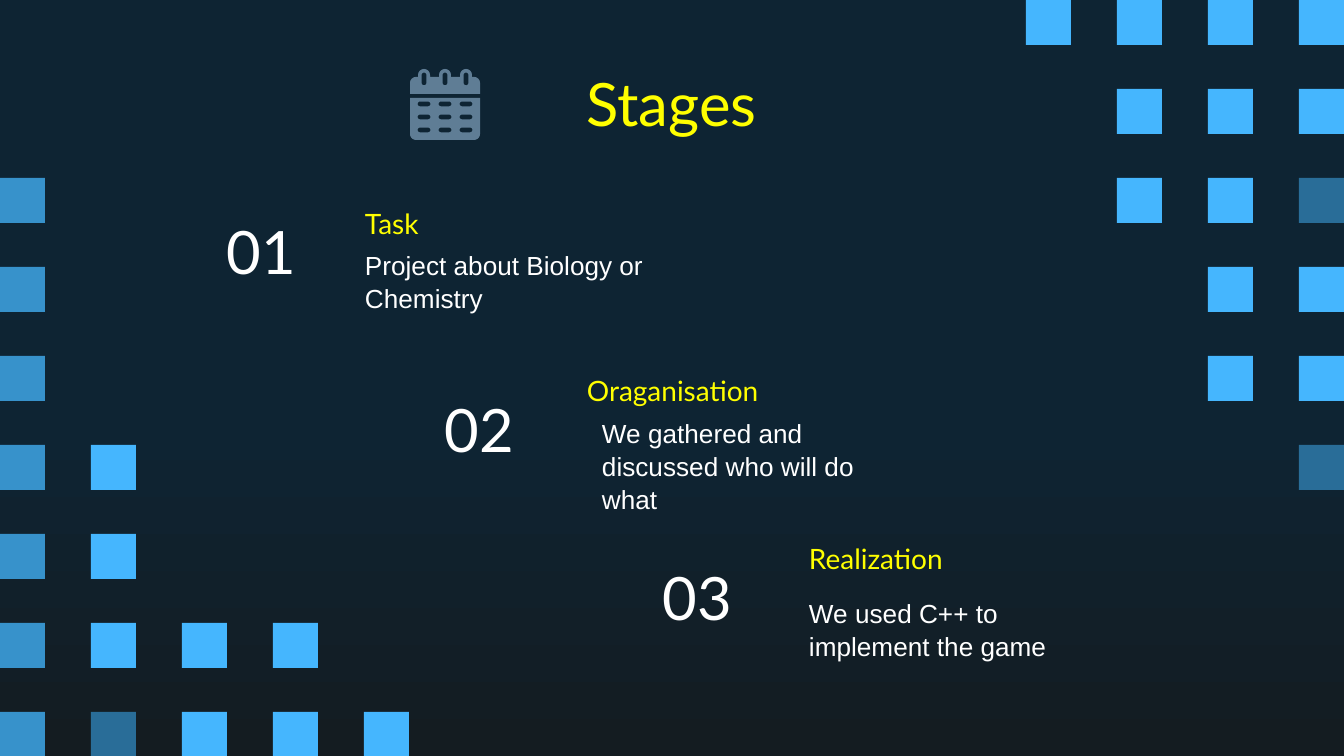
import math

from pptx import Presentation
from pptx import util as u
from pptx.dml.color import RGBColor
from pptx.enum import shapes, text

PX = 9144000 / 1344
PITCH_X, PITCH_Y, SQUARE = 91, 89, 45
BLUES = {"b": "45B6FE", "m": "3792CB", "d": "296D98"}
LEFT_SQUARES = ["m", "m", "m", "mb", "mb", "mbbb", "mdbbb"]
RIGHT_SQUARES = ["bbbb", ".bbb", ".bbd", "..bb", "..bb", "...d"]
YELLOW, WHITE, SLATE = "FFFF00", "FFFFFF", "5F7D95"
STAGES = [
    ("01", (44, 212), "Task", (352, 196, 308),
     "Project about Biology or Chemistry", (352, 248), True),
    ("02", (262, 390), "Oraganisation", (574, 363, 403),
     "We gathered and discussed who will do what", (589, 422), False),
    ("03", (480, 558), "Realization", (796, 531, 351),
     "We used C++ to implement the game", (796, 585), False),
]


def px(n):
    """Turn pixels into EMU."""
    return u.Emu(round(n * PX))


def rgb(value):
    """Turn a hex string into a colour."""
    return RGBColor.from_string(value)


def paint(sp, color):
    """Give a shape a plain fill with no line or shadow."""
    sp.fill.solid()
    sp.fill.fore_color.rgb = rgb(color)
    sp.line.fill.background()
    sp.shadow.inherit = False


def set_background(s):
    """Fade the background from navy to near black."""
    fill = s.background.fill
    fill.gradient()
    fill.gradient_angle = 270
    for stop, position, color in zip(fill.gradient_stops, (0.56, 1), ("0E2433", "141C21")):
        stop.position = position
        stop.color.rgb = rgb(color)


def add_squares(s, rows, x, y):
    """Lay out squares on the grid, one character each."""
    for i, row in enumerate(rows):
        for j, tone in enumerate(row):
            if tone in BLUES:
                sp = s.shapes.add_shape(
                    shapes.MSO_SHAPE.RECTANGLE, px(x + j * PITCH_X), px(y + i * PITCH_Y),
                    px(SQUARE), px(SQUARE))
                paint(sp, BLUES[tone])


def write(sp, words, size, font, color, align=text.PP_ALIGN.LEFT, top=False, spacing=1.0):
    """Write one formatted run into a shape."""
    tf = sp.text_frame
    tf.word_wrap = True
    tf.auto_size = text.MSO_AUTO_SIZE.NONE
    tf.vertical_anchor = text.MSO_ANCHOR.TOP if top else text.MSO_ANCHOR.MIDDLE
    tf.margin_left = tf.margin_right = tf.margin_bottom = px(13)
    tf.margin_top = px(0 if top else 13)
    p = tf.paragraphs[0]
    p.alignment = align
    p.line_spacing = spacing
    r = p.add_run()
    r.text = words
    r.font.size = u.Pt(size)
    r.font.name = font
    r.font.color.rgb = rgb(color)


def add_text(s, x, y, w, h, *args, **kwargs):
    """Add a text box with one formatted run."""
    write(s.shapes.add_textbox(px(x), px(y), px(w), px(h)), *args, **kwargs)


def add_title(s, words):
    """Place and fill the title placeholder."""
    sp = s.shapes.title
    sp.left, sp.top, sp.width, sp.height = px(105), px(79), px(1133), px(48)
    write(sp, words, 32, "Lato", YELLOW, text.PP_ALIGN.CENTER)


def add_stage(s, number, number_at, heading, heading_at, body, body_at, top):
    """Add a numbered stage with heading and description."""
    add_text(s, *heading_at, 54, heading, 15, "Lato", YELLOW)
    add_text(s, *body_at, 317, 87, body, 14, "Arial", WHITE, top=top, spacing=1.05)
    add_text(s, *number_at, 435, 77, number, 32, "Lato", WHITE, text.PP_ALIGN.CENTER)


def arc(cx, cy, radius, start, end):
    """Return points along an arc, angles in degrees."""
    angles = [math.radians(start + (end - start) * i / 8) for i in range(9)]
    return [(cx + radius * math.cos(a), cy + radius * math.sin(a)) for a in angles]


def add_outline(group, contours, color):
    """Add one filled freeform made of closed contours."""
    contours = [[(px(x), px(y)) for x, y in c] for c in contours]
    builder = group.shapes.build_freeform(*contours[0][0], scale=1.0)
    for i, points in enumerate(contours):
        if i:
            builder.move_to(*points[0])
        builder.add_line_segments(points[1:], close=True)
    paint(builder.convert_to_shape(), color)


def add_calendar(s):
    """Draw the calendar icon as a binder strip over a page."""
    group = s.shapes.add_group_shape()
    centers = (424, 445, 466)
    page = [(410, 98), (480, 98)] + arc(474, 134, 6, 0, 90) + arc(416, 134, 6, 90, 180)
    dashes = [arc(x - 4, y, 2.4, 90, 270) + arc(x + 4, y, 2.4, -90, 90)
              for y in (104, 117, 130) for x in centers]
    add_outline(group, [page] + dashes, SLATE)

    strip = [(410, 94)] + arc(416, 83, 6, 180, 270)
    for x in centers:
        strip += [(x - 6, 77)] + arc(x, 75, 6, 180, 360) + [(x + 6, 77)]
    strip += arc(474, 83, 6, 270, 360) + [(480, 94)]
    slots = [arc(x, 75, 2.4, 180, 360) + arc(x, 83, 2.4, 0, 180) for x in centers]
    add_outline(group, [strip] + slots, SLATE)


def main():
    """Build the stages slide."""
    prs = Presentation()
    prs.slide_width, prs.slide_height = px(1344), px(756)
    s = prs.slides.add_slide(prs.slide_layouts[5])
    set_background(s)
    add_squares(s, LEFT_SQUARES, 0, 2 * PITCH_Y)
    add_squares(s, RIGHT_SQUARES, 1026, 0)
    add_title(s, "Stages")
    for stage in STAGES:
        add_stage(s, *stage)
    add_calendar(s)
    prs.save("out.pptx")


if __name__ == "__main__":
    main()
